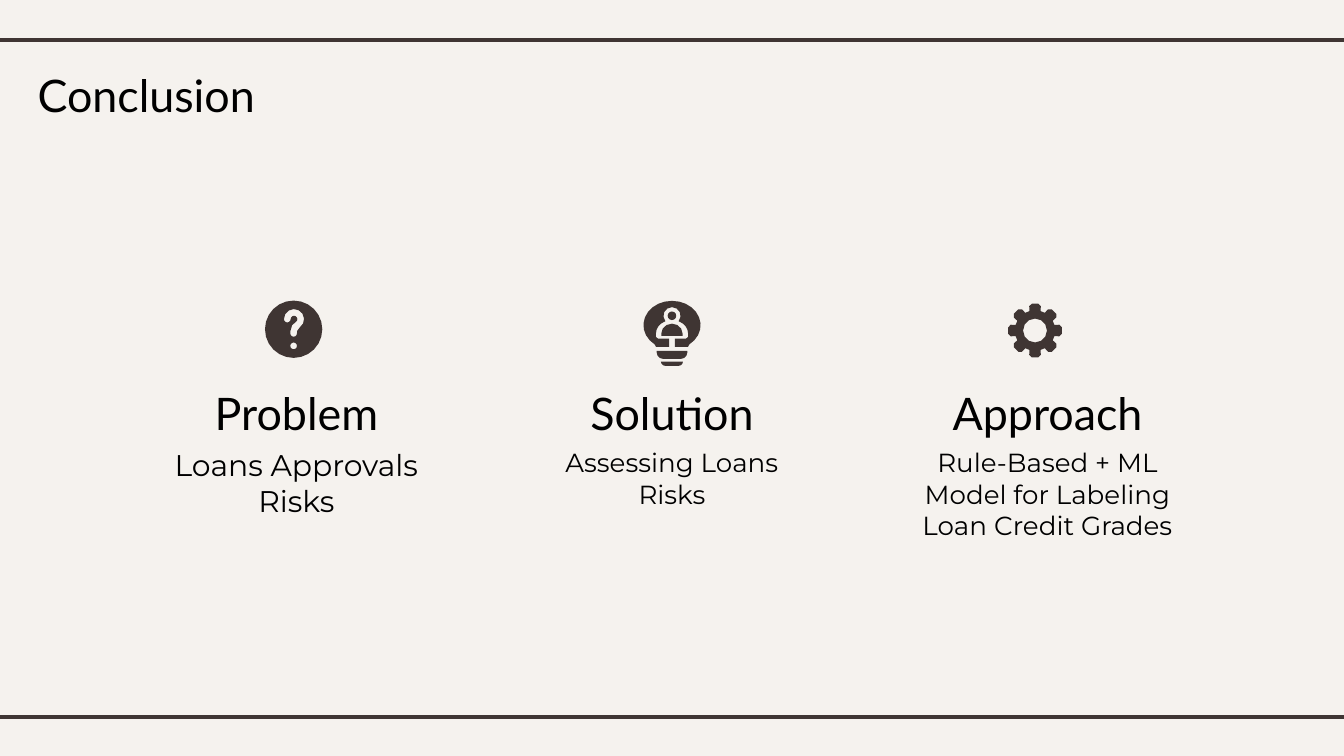
from dataclasses import dataclass
from math import cos, radians, sin
from typing import Callable

from lxml.etree import SubElement
from pptx import Presentation
from pptx.dml.color import RGBColor
from pptx.enum.shapes import MSO_CONNECTOR as Connector
from pptx.enum.text import PP_ALIGN as Align
from pptx.oxml.ns import qn
from pptx.util import Pt

Point = tuple[float, float]
Outline = list[Point]
Icon = list[list[Outline]]

PAPER, INK, BLACK = "F5F2EE", "3F3533", "000000"
WIDTH, HEIGHT = 720, 405
COLUMN_WIDTH, COLUMN_STEP = 167.4, 201.2


@dataclass
class Column:
    heading: str
    detail: str
    detail_size: float
    icon: Callable[[], Icon]
    icon_center: Point


def colour(value: str) -> RGBColor:
    return RGBColor.from_string(value)


def arc(center: Point, radii: Point, start: int, end: int) -> Outline:
    step = 15 if max(radii) > 7 else 30
    count = max(round(abs(end - start) / step), 2)
    angles = [radians(start + (end - start) * i / count) for i in range(count + 1)]
    return [(center[0] + radii[0] * cos(a), center[1] + radii[1] * sin(a)) for a in angles]


def circle(center: Point, radius: float) -> Outline:
    return arc(center, (radius, radius), 0, 360)[:-1]


def mirrored(right_half: Outline) -> Outline:
    return right_half + [(-x, y) for x, y in reversed(right_half)]


def question_icon() -> Icon:
    ring, cap = (0.2, -5.4), (1.8, 1.8)
    hook = (
        arc(ring, (5.4, 5.4), 180, 415)
        + [(1.9, 0.9)]
        + arc((0, 2.2), cap, 0, 180)
        + [(-1.8, 1.2), (-0.8, -2.2)]
        + arc(ring, cap, 415, 180)
        + arc((-3.4, -5.4), cap, 0, 180)
    )
    return [[circle((0, 0), 15.35), hook, circle((0, 8.9), 1.8)]]


def bulb_icon() -> Icon:
    shell = (
        arc((0, 0.2), (15.3, 13), 270, 413)
        + [(8.6, 11.8), (1.5, 11.8), (1.5, 7.4), (7.6, 7.4), (8.6, 6.5)]
        + arc((0, 4.6), (8.6, 7.1), 0, -65)
        + arc((0, -4.8), (4.6, 4.6), 39, -90)
    )
    torso = arc((0, 4.7), (5.7, 5.3), -90, 0) + [(5.7, 6)]
    collar = [(8.2, 14)] + arc((4.8, 14.9), (3.4, 3.4), 0, 90)
    foot = arc((3.6, 19.7), (2.3, 2.3), 0, 90)
    halves = [shell, torso, collar, foot]
    return [[mirrored(half)] for half in halves] + [[circle((0, -4.8), 2.3)]]


def gear_icon() -> Icon:
    tooth = [(10.4, -3), (13, -3.1), (14.4, -1.7), (14.4, 1.7), (13, 3.1), (10.4, 3)]
    rim = []
    for turn in range(0, 360, 45):
        c, s = cos(radians(turn)), sin(radians(turn))
        rim += [(x * c - y * s, x * s + y * c) for x, y in tooth]
    return [[rim, circle((0, 0), 6.4)]]


def draw_icon(page, icon: Icon, center: Point) -> None:
    for outlines in icon:
        placed = [[(Pt(center[0] + x), Pt(center[1] + y)) for x, y in outline]
                  for outline in outlines]
        builder = page.shapes.build_freeform(*placed[0][0])
        builder.add_line_segments(placed[0][1:])
        for hole in placed[1:]:
            builder.move_to(*hole[0])
            builder.add_line_segments(hole[1:])
        shape = builder.convert_to_shape()
        shape.shadow.inherit = False
        shape.fill.solid()
        shape.fill.fore_color.rgb = colour(INK)
        shape.line.fill.background()


def draw_rule(page, y: float) -> None:
    rule = page.shapes.add_connector(Connector.STRAIGHT, Pt(-6), Pt(y), Pt(WIDTH + 6), Pt(y))
    rule.line.color.rgb = colour(INK)
    rule.line.width = Pt(2.25)
    SubElement(rule._element.spPr, qn("a:effectLst"))


def draw_text(page, text: str, left: float, top: float, width: float, height: float,
              size: float, font: str, align: Align, inset: float) -> None:
    box = page.shapes.add_textbox(Pt(left), Pt(top), Pt(width), Pt(height))
    frame = box.text_frame
    frame.word_wrap = True
    frame.margin_top = frame.margin_bottom = Pt(inset)
    frame.text = text
    para = frame.paragraphs[0]
    para.alignment = align
    span = para.runs[0]
    span.font.size = Pt(size)
    span.font.name = font
    span.font.color.rgb = colour(BLACK)


def draw_column(page, column: Column, left: float) -> None:
    draw_text(page, column.heading, left, 199.4, COLUMN_WIDTH, 35.3,
              24, "Lato", Align.CENTER, 7.2)
    draw_text(page, column.detail, left, 232.2, COLUMN_WIDTH, 64,
              column.detail_size, "Montserrat", Align.CENTER, 7.2)
    draw_icon(page, column.icon(), column.icon_center)


COLUMNS = [
    Column("Problem", "Loans Approvals Risks", 16, question_icon, (157.3, 176.4)),
    Column("Solution", "Assessing Loans Risks", 14, bulb_icon, (360, 174)),
    Column("Approach", "Rule-Based + ML Model for Labeling Loan Credit Grades", 14,
           gear_icon, (554.5, 177.1)),
]


def main() -> None:
    deck = Presentation()
    deck.slide_width, deck.slide_height = Pt(WIDTH), Pt(HEIGHT)
    page = deck.slides.add_slide(deck.slide_layouts[6])
    page.background.fill.solid()
    page.background.fill.fore_color.rgb = colour(PAPER)
    for y in (21.4, 384):
        draw_rule(page, y)
    draw_text(page, "Conclusion", 13, 32.7, 133.2, 36, 24, "Lato", Align.LEFT, 3.6)
    first_left = (WIDTH - COLUMN_WIDTH) / 2 - COLUMN_STEP
    for index, column in enumerate(COLUMNS):
        draw_column(page, column, first_left + index * COLUMN_STEP)
    deck.save("out.pptx")


if __name__ == "__main__":
    main()
